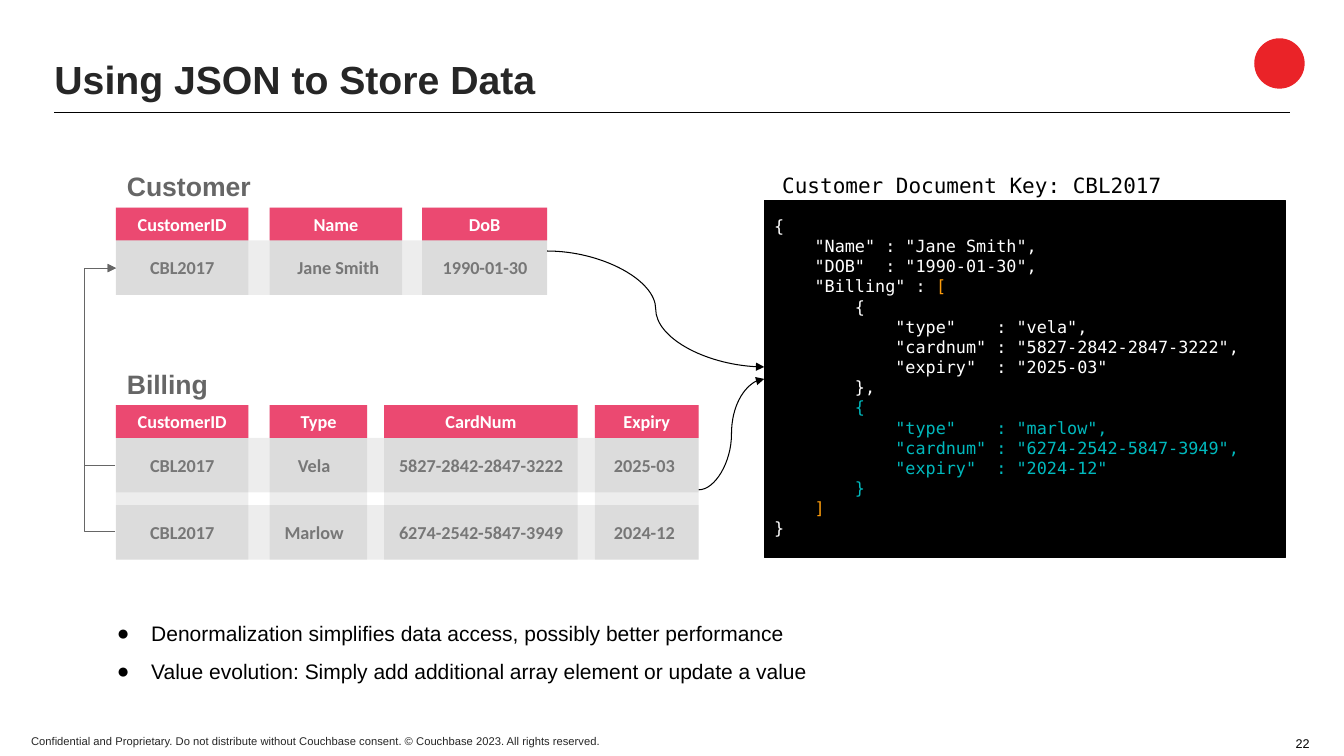
import dataclasses

import lxml.etree
import pptx
import pptx.dml.color
import pptx.enum.shapes
import pptx.enum.text
import pptx.oxml.ns
import pptx.shapes.autoshape
import pptx.shapes.connector
import pptx.text.text
import pptx.util

ALIGN = pptx.enum.text.PP_ALIGN
ANCHOR = pptx.enum.text.MSO_ANCHOR
SHAPE = pptx.enum.shapes.MSO_SHAPE
CONNECTOR = pptx.enum.shapes.MSO_CONNECTOR
qn = pptx.oxml.ns.qn

# Grid of 80 columns by 45 rows of square cells
presentation = pptx.Presentation()
presentation.slide_width = pptx.util.Inches(13.33)
presentation.slide_height = pptx.util.Inches(7.5)
CELL = presentation.slide_height / 45
slide = presentation.slides.add_slide(presentation.slide_layouts[1])

BLACK, WHITE, DARK, GREY = "000000", "FFFFFF", "262626", "666666"
PINK, CELL_GREY, ORANGE, TEAL = "EB4971", "777777", "FC9C0C", "00B9BD"
MONO = "DejaVu Sans Mono"


@dataclasses.dataclass
class Box:
    left: float
    top: float
    width: float
    height: float


@dataclasses.dataclass
class Column:
    header: str
    left: float
    width: float
    values: list[str]
    text_left: float | None = None
    text_width: float | None = None


@dataclasses.dataclass
class Table:
    name: str
    top: float
    columns: list[Column]


@dataclasses.dataclass
class Arrow:
    kind: int
    start: tuple[float, float]
    end: tuple[float, float]
    color: str
    adjustment: int = 50000


Run = tuple[str, str]  # text and colour


def grid(cells: float) -> pptx.util.Emu:
    return pptx.util.Emu(round(cells * CELL))


def color(hex_code: str) -> pptx.dml.color.RGBColor:
    return pptx.dml.color.RGBColor.from_string(hex_code)


def place(box: Box) -> tuple:
    return grid(box.left), grid(box.top), grid(box.width), grid(box.height)


def write(frame: pptx.text.text.TextFrame, lines: list[list[Run]], *, size: float,
          font: str = "Arial", bold: bool = False, align: int = ALIGN.LEFT,
          anchor: int = ANCHOR.TOP, inset: tuple[float, float] = (0.6, 0.3),
          spacing: float | None = None, bullet: str = "") -> None:
    frame.word_wrap = True
    frame.auto_size = pptx.enum.text.MSO_AUTO_SIZE.NONE
    frame.vertical_anchor = anchor
    frame.margin_left = frame.margin_right = grid(inset[0])
    frame.margin_top = frame.margin_bottom = grid(inset[1])
    for index, runs in enumerate(lines):
        paragraph = frame.add_paragraph() if index else frame.paragraphs[0]
        if bullet:
            properties = paragraph._p.get_or_add_pPr()
            properties.set("marL", str(grid(3)))
            properties.set("indent", str(-grid(2.04)))
            bullet_color = lxml.etree.SubElement(properties, qn("a:buClr"))
            lxml.etree.SubElement(bullet_color, qn("a:srgbClr"), val=BLACK)
            lxml.etree.SubElement(properties, qn("a:buFont"), typeface=font)
            lxml.etree.SubElement(properties, qn("a:buChar"), char=bullet)
        paragraph.alignment = align
        paragraph.space_before = pptx.util.Pt(0)
        if spacing:
            paragraph.line_spacing = spacing
        for text, hex_code in runs:
            run = paragraph.add_run()
            run.text = text
            run.font.name = font
            run.font.size = pptx.util.Pt(size)
            run.font.bold = bold
            run.font.color.rgb = color(hex_code)


def add_text(box: Box, text: str, hex_code: str, **text_format) -> None:
    write(slide.shapes.add_textbox(*place(box)).text_frame, [[(text, hex_code)]], **text_format)


def add_filled(box: Box, hex_code: str, kind: int = SHAPE.RECTANGLE,
               opacity: int = 100) -> pptx.shapes.autoshape.Shape:
    shape = slide.shapes.add_shape(kind, *place(box))
    shape.shadow.inherit = False
    shape.fill.solid()
    shape.fill.fore_color.rgb = color(hex_code)
    shape.line.fill.background()
    if opacity < 100:
        fill = shape._element.spPr.find(".//" + qn("a:srgbClr"))
        lxml.etree.SubElement(fill, qn("a:alpha"), val=str(opacity * 1000))
    return shape


def add_line(kind: int, start: tuple[float, float], end: tuple[float, float],
             hex_code: str, width: float) -> pptx.shapes.connector.Connector:
    line = slide.shapes.add_connector(kind, *map(grid, start + end))
    line.line.color.rgb = color(hex_code)
    line.line.width = pptx.util.Pt(width)
    lxml.etree.SubElement(line._element.spPr, qn("a:effectLst"))
    return line


def add_arrow(arrow: Arrow) -> None:
    line = add_line(arrow.kind, arrow.start, arrow.end, arrow.color, 0.75)
    lxml.etree.SubElement(line.line._get_or_add_ln(), qn("a:tailEnd"), type="triangle")
    guides = line._element.spPr.find(qn("a:prstGeom")).get_or_add_avLst()
    lxml.etree.SubElement(guides, qn("a:gd"), name="adj1", fmla=f"val {arrow.adjustment}")


HEADER_HEIGHT, BAND_HEIGHT, BAND_PITCH, TEXT_HEIGHT = 1.95, 3.24, 4, 1.92


def add_table_drawing(table: Table) -> None:
    first, last = table.columns[0], table.columns[-1]
    bands = [table.top + HEADER_HEIGHT + BAND_PITCH * row for row in range(len(first.values))]
    add_text(Box(6.96, table.top - 2.52, 9.72, 2.52), table.name, GREY, size=19, bold=True)
    for column in table.columns:
        height = bands[-1] + BAND_HEIGHT - table.top
        add_filled(Box(column.left, table.top, column.width, height), BLACK, opacity=7)
        header = add_filled(Box(column.left, table.top, column.width, HEADER_HEIGHT), PINK)
        write(header.text_frame, [[(column.header, WHITE)]], size=13, font="Calibri", bold=True,
              align=ALIGN.CENTER, anchor=ANCHOR.MIDDLE, inset=(0.78, 0.42))
    for band in bands:
        width = last.left + last.width - first.left
        add_filled(Box(first.left, band, width, BAND_HEIGHT), BLACK, opacity=7)
    for column in table.columns:
        left, width = column.text_left or column.left, column.text_width or column.width
        for band, value in zip(bands, column.values):
            box = Box(left, band + (BAND_HEIGHT - TEXT_HEIGHT) / 2, width, TEXT_HEIGHT)
            add_text(box, value, CELL_GREY, size=13, font="Calibri", bold=True, align=ALIGN.CENTER)


# Title, rule and corner mark
title, body = slide.placeholders
title.left, title.top, title.width, title.height = place(Box(2.64, 3.06, 71.76, 3.6))
write(title.text_frame, [[("Using JSON to Store Data", DARK)]], size=28, bold=True,
      anchor=ANCHOR.MIDDLE, spacing=0.9)
add_line(CONNECTOR.STRAIGHT, (3.24, 6.69), (76.74, 6.69), BLACK, 1)
add_filled(Box(74.64, 2.28, 3, 3), "EA2328", SHAPE.OVAL)

# Document
CODE = [(line, WHITE) for line in (
    '{', '    "Name" : "Jane Smith",', '    "DOB"  : "1990-01-30",', '    "Billing" : ',
    '        {', '            "type"    : "vela",',
    '            "cardnum" : "5827-2842-2847-3222",', '            "expiry"  : "2025-03"',
    '        },')]
CODE += [(line, TEAL) for line in (
    '        {', '            "type"    : "marlow",',
    '            "cardnum" : "6274-2542-5847-3949",', '            "expiry"  : "2024-12"',
    '        }')]
CODE += [('    ]', ORANGE), ('}', WHITE)]
code_lines = [[run] for run in CODE]
code_lines[3].append(("[", ORANGE))
document = add_filled(Box(45.48, 11.94, 31.02, 21.24), BLACK)
document.line.color.rgb = color(BLACK)
document.line.width = pptx.util.Pt(0.75)
write(document.text_frame, code_lines, size=12, font=MONO, inset=(0.6, 0.9))
add_text(Box(45.96, 9.96, 26.52, 1.92), "Customer Document Key: CBL2017", BLACK, size=15, font=MONO)

# Relational tables
TABLES = [
    Table("Customer", 12.36, [
        Column("CustomerID", 6.9, 7.88, ["CBL2017"]),
        Column("Name", 16.05, 7.88, ["Jane Smith"], 16.56, 7.14),
        Column("DoB", 25.12, 7.44, ["1990-01-30"], 24.9, 7.92)]),
    Table("Billing", 24.12, [
        Column("CustomerID", 6.9, 7.88, ["CBL2017", "CBL2017"]),
        Column("Type", 16.05, 5.8, ["Vela", "Marlow"], 15.12, 7.14),
        Column("CardNum", 22.86, 11.52, ["5827-2842-2847-3222", "6274-2542-5847-3949"]),
        Column("Expiry", 35.4, 6.18, ["2025-03", "2024-12"], 34.38, 7.92)])]
for table in TABLES:
    add_table_drawing(table)

# Arrows into the document, and from billing rows to the customer
ARROWS = [Arrow(CONNECTOR.CURVE, (32.56, 14.94), (45.48, 21.84), BLACK),
          Arrow(CONNECTOR.CURVE, (41.58, 29.16), (45.48, 22.56), BLACK)]
ARROWS += [Arrow(CONNECTOR.ELBOW, (6.85, row), (6.9, 15.96), GREY, -3700000)
           for row in (27.72, 31.62)]
for arrow in ARROWS:
    add_arrow(arrow)

# Takeaways and footer
body.left, body.top, body.width, body.height = place(Box(5.22, 35.34, 49.74, 6.24))
write(body.text_frame, [
    [("Denormalization simplifies data access, possibly better performance", BLACK)],
    [("Value evolution: Simply add additional array element or update a value", BLACK)],
], size=15, anchor=ANCHOR.MIDDLE, inset=(0.78, 0.78), spacing=1.5, bullet="●")
add_text(Box(1.26, 43.38, 35.82, 1.44), "Confidential and Proprietary. Do not distribute without "
         "Couchbase consent. © Couchbase 2023. All rights reserved.", DARK, size=8,
         anchor=ANCHOR.BOTTOM)
add_text(Box(76.32, 43.56, 3.66, 1.44), "22", BLACK, size=9, anchor=ANCHOR.MIDDLE,
         inset=(0.78, 0))

presentation.save("out.pptx")
